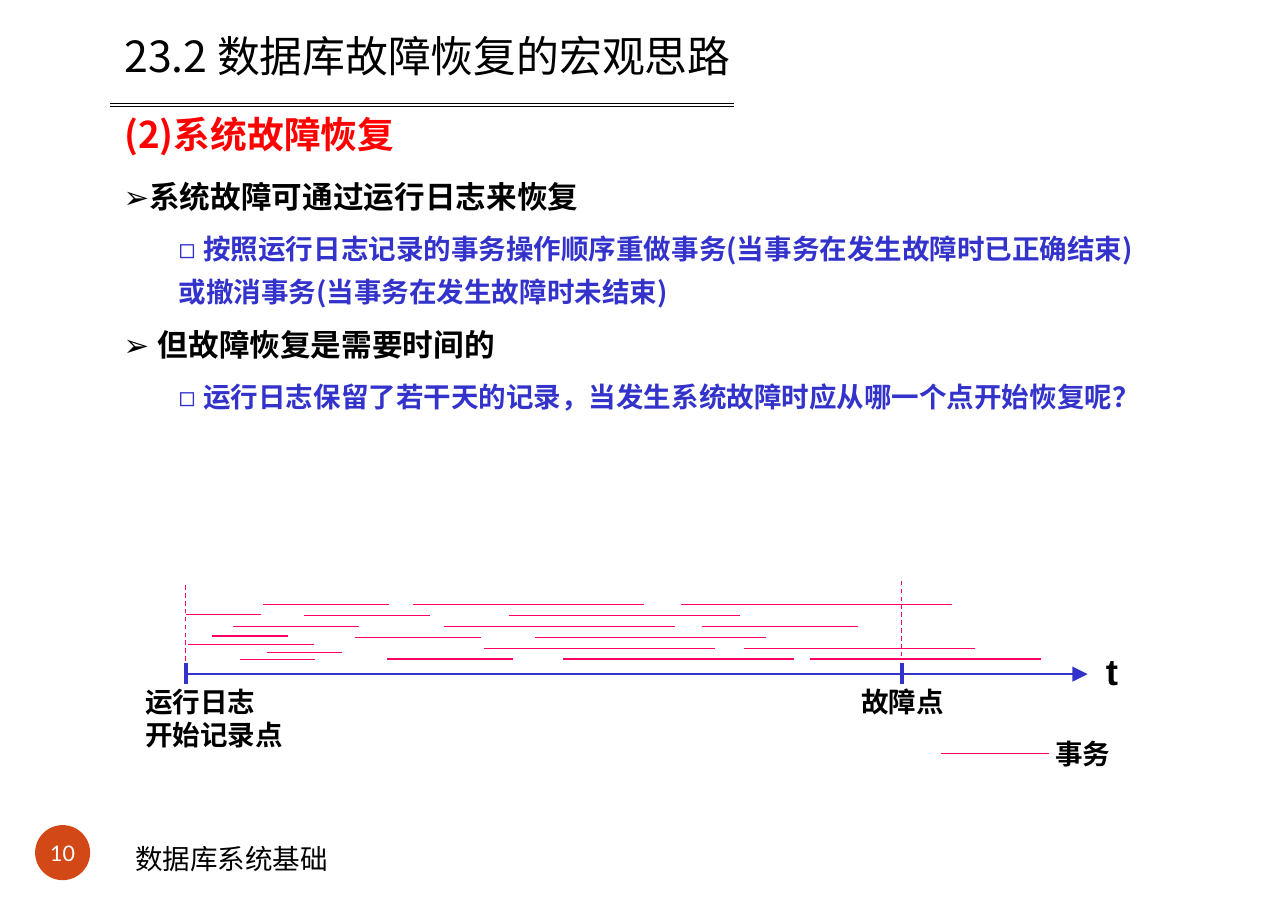
from lxml.etree import SubElement
from pptx import Presentation
from pptx.dml.color import RGBColor
from pptx.enum.dml import MSO_LINE
from pptx.enum.shapes import MSO_CONNECTOR, MSO_SHAPE
from pptx.enum.text import MSO_ANCHOR, PP_ALIGN
from pptx.oxml.ns import qn
from pptx.util import Cm, Pt

COLORS = {"black": "000000", "white": "FFFFFF", "red": "FF0000",
          "blue": "3333CC", "pink": "FF0066", "orange": "D34817"}
SC, TC = "Noto Sans CJK SC", "Noto Sans CJK TC"


def add_run(p, text, size, color, font, bold=False):
    r = p.add_run()
    r.text = text
    r.font.size, r.font.name, r.font.bold = Pt(size), font, bold
    r.font.color.rgb = RGBColor.from_string(COLORS[color])
    SubElement(r.font._element, qn("a:ea")).set("typeface", font)


def add_line(x1, y1, x2, y2, color="pink", width=0.75):
    c = s.shapes.add_connector(MSO_CONNECTOR.STRAIGHT, Cm(x1), Cm(y1), Cm(x2), Cm(y2))
    c.line.color.rgb = RGBColor.from_string(COLORS[color])
    c.line.width = Pt(width)
    SubElement(c._element.spPr, qn("a:effectLst"))
    return c


prs = Presentation()
prs.slide_width, prs.slide_height = Cm(29.7), Cm(21)
s = prs.slides.add_slide(prs.slide_layouts[5])

title = s.shapes.title
title.left, title.top, title.width, title.height = Cm(2.87), Cm(0.81), Cm(23.98), Cm(3.05)
tf = title.text_frame
tf.word_wrap = True
tf.vertical_anchor = MSO_ANCHOR.TOP
tf.margin_left = tf.margin_top = tf.margin_right = tf.margin_bottom = 0
add_run(tf.paragraphs[0], "23.2 数据库故障恢复的宏观思路", 28, "black", TC)
add_run(tf.add_paragraph(), "(2)系统故障恢复", 24, "red", TC, True)
for p, before in zip(tf.paragraphs, (0, 23)):
    p.alignment = PP_ALIGN.LEFT
    p.line_spacing = 0.9
    p.space_before = Pt(before)

for y in (2.39, 2.46):
    add_line(2.54, y, 16.93, y, "black", 1)

badge = s.shapes.add_shape(MSO_SHAPE.OVAL, Cm(0.81), Cm(19.02), Cm(1.27), Cm(1.27))
badge.shadow.inherit = False
badge.fill.solid()
badge.fill.fore_color.rgb = RGBColor.from_string(COLORS["orange"])
badge.line.fill.background()
tf = badge.text_frame
tf.margin_left = tf.margin_top = tf.margin_right = tf.margin_bottom = 0
tf.word_wrap = False
tf.vertical_anchor = MSO_ANCHOR.MIDDLE
tf.paragraphs[0].alignment = PP_ALIGN.CENTER
add_run(tf.paragraphs[0], "10", 14, "white", "Lato")

footer = s.shapes.add_textbox(Cm(2.87), Cm(19.28), Cm(6.48), Cm(1.02))
footer.text_frame.word_wrap = True
add_run(footer.text_frame.paragraphs[0], "数据库系统基础", 18, "black", "Calibri")

body = s.shapes.add_textbox(Cm(2.82), Cm(4.11), Cm(23.7), Cm(5.33))
tf = body.text_frame
tf.word_wrap = True
tf.margin_left = tf.margin_top = tf.margin_right = tf.margin_bottom = 0
points = [
    ("➢", "系统故障可通过运行日志来恢复", 20, "black", 0.03, 1, 0),
    ("◻ ", "按照运行日志记录的事务操作顺序重做事务(当事务在发生故障时已正确结束) "
     "或撤消事务(当事务在发生故障时未结束)", 18, "blue", 1.3, 1.3, 4.5),
    ("➢ ", "但故障恢复是需要时间的", 20, "black", 0.03, 1, 11.9),
    ("◻ ", "运行日志保留了若干天的记录，当发生系统故障时应从哪一个点开始恢复呢？",
     18, "blue", 1.3, 1, 11),
]
for i, (mark, text, size, color, indent, spacing, before) in enumerate(points):
    p = tf.add_paragraph() if i else tf.paragraphs[0]
    p.line_spacing = spacing
    p.space_before = Pt(before)
    p._p.get_or_add_pPr().set("marL", str(Cm(indent)))
    add_run(p, mark, size, color, "Arial")
    add_run(p, text, size, color, SC, True)

axis = add_line(4.29, 15.54, 25.08, 15.54, "blue", 1.25)
SubElement(axis.line._get_or_add_ln(), qn("a:tailEnd"), type="triangle", w="lg", len="lg")
for x in (4.29, 20.8):
    add_line(x, 15.28, x, 15.76, "blue", 3)
for x, top, bottom in ((4.27, 13.49, 15.27), (20.78, 13.39, 15.14)):
    add_line(x, top, x, bottom).line.dash_style = MSO_LINE.DASH

SHORT, MEDIUM, LONG = 1.73, 2.9, 5.33
rows = [
    [(6.07, MEDIUM), (9.53, LONG), (15.7, 6.25)],
    [(7.01, MEDIUM), (11.73, LONG)],
    [(5.38, MEDIUM), (10.24, LONG), (16.18, 3.61)],
    [(8.18, MEDIUM), (12.34, LONG)],
    [(11.15, LONG), (17.15, LONG)],
    [(8.92, MEDIUM), (12.98, LONG), (18.67, LONG)],
]
transactions = [(x, 13.94 + 0.25 * i, length) for i, row in enumerate(rows) for x, length in row]
transactions += [(4.29, 14.17, SHORT), (4.9, 14.66, SHORT), (4.34, 14.86, MEDIUM),
                 (6.15, 15.04, SHORT), (5.54, 15.21, SHORT)]
legend = (21.69, 17.37, 2.51)
for x, y, length in transactions + [legend]:
    add_line(x, y, x + length, y)

labels = [
    ("t", 25.5, 14.96, 0.36, 0.91, 24, "Arial", None),
    ("故障点", 19.86, 15.8, 1.98, 0.71, 18, SC, Pt(21.6)),
    ("运行日志\v开始记录点", 3.35, 15.8, 3.25, 1.47, 18, SC, Pt(21.6)),
    ("事务", 24.33, 16.99, 1.35, 0.71, 18, SC, Pt(21.6)),
]
for text, x, y, w, h, size, font, spacing in labels:
    tf = s.shapes.add_textbox(Cm(x), Cm(y), Cm(w), Cm(h)).text_frame
    tf.margin_left = tf.margin_top = tf.margin_right = tf.margin_bottom = 0
    p = tf.paragraphs[0]
    p.line_spacing = spacing
    for i, part in enumerate(text.split("\v")):
        if i:
            p.add_line_break()
        add_run(p, part, size, "black", font, True)

prs.save("out.pptx")
